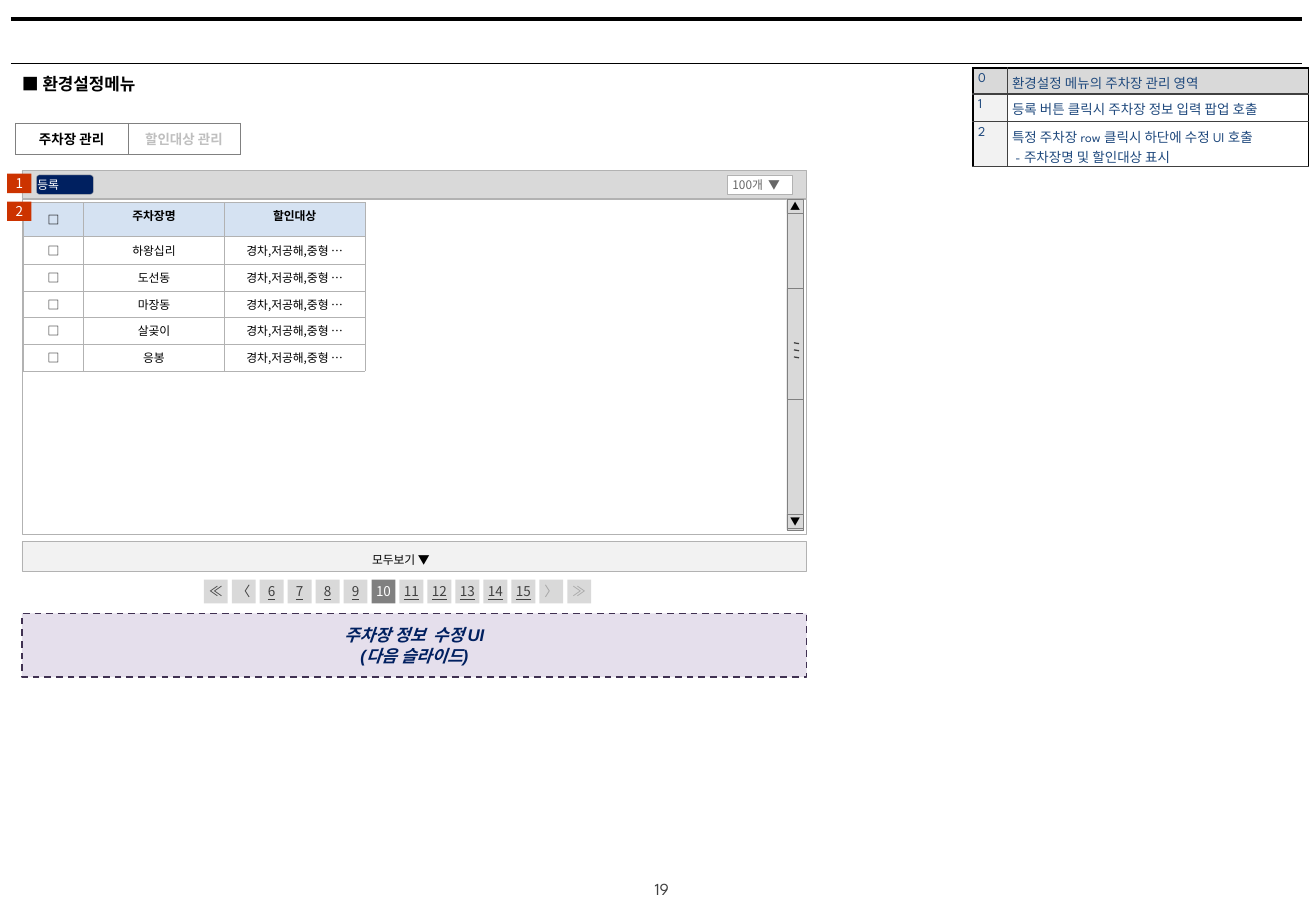
from dataclasses import dataclass, replace

from pptx import Presentation
from pptx.dml.color import RGBColor
from pptx.enum.dml import MSO_LINE_DASH_STYLE
from pptx.enum.shapes import MSO_CONNECTOR, MSO_SHAPE
from pptx.enum.text import MSO_ANCHOR, PP_ALIGN
from pptx.oxml.ns import qn
from pptx.util import Pt
from lxml import etree

RECT, ROUND = MSO_SHAPE.RECTANGLE, MSO_SHAPE.ROUNDED_RECTANGLE
STRAIGHT, DASH = MSO_CONNECTOR.STRAIGHT, MSO_LINE_DASH_STYLE.DASH
TOP, MID = MSO_ANCHOR.TOP, MSO_ANCHOR.MIDDLE
LEFT, MIDST = PP_ALIGN.LEFT, PP_ALIGN.CENTER
NOTO, SPARTAN, ARIAL = "Noto Sans CJK KR", "League Spartan", "Arial"
BLACK, WHITE, DARK, GREY, PALE = "000000", "FFFFFF", "404040", "D9D9D9", "F2F2F2"
EDGE, MUTED, NAVY, BLUE = "B2B2B2", "808080", "002060", "1F497D"
SIDES = ("lnL", "lnR", "lnT", "lnB")


@dataclass(frozen=True)
class Style:
    size: float = 7
    color: str = BLACK
    font: str = NOTO
    bold: bool = False
    italic: bool = False
    under: bool = False
    align: PP_ALIGN = MIDST
    anchor: MSO_ANCHOR = MID
    inset: tuple = (0, 0, 0, 0)
    wrap: bool = True


@dataclass(frozen=True)
class Box:
    left: float
    top: float
    width: float
    height: float
    fill: str = ""
    edge: str = ""
    text: str = ""
    style: Style = Style()
    kind: MSO_SHAPE = RECT


@dataclass(frozen=True)
class Cell:
    text: str
    style: Style
    fill: str
    lines: tuple  # (colour, width) for left, right, top, bottom


def paint(target, color: str) -> None:
    target.solid()
    target.fore_color.rgb = RGBColor.from_string(color)


def write(frame, text: str, style: Style) -> None:
    for i, line in enumerate(text.split("\n")):
        para = frame.paragraphs[0] if i == 0 else frame.add_paragraph()
        para.alignment = style.align
        run = para.add_run()
        run.text = line
        font = run.font
        font.size, font.name = Pt(style.size), style.font
        font.bold, font.italic, font.underline = style.bold, style.italic, style.under
        paint(font.fill, style.color)
        # Hangul takes its typeface from the East Asian slot
        east = etree.Element(qn("a:ea"), typeface=NOTO)
        font._element.find(qn("a:latin")).addnext(east)


def place(holder, style: Style) -> None:
    """Set the margins and anchor of a text frame or a cell."""
    left, top, right, bottom = style.inset
    holder.margin_left, holder.margin_top = Pt(left), Pt(top)
    holder.margin_right, holder.margin_bottom = Pt(right), Pt(bottom)
    holder.vertical_anchor = style.anchor


def fill_frame(frame, text: str, style: Style) -> None:
    place(frame, style)
    frame.word_wrap = style.wrap
    write(frame, text, style)


def draw_box(slide, box: Box):
    shape = slide.shapes.add_shape(
        box.kind, Pt(box.left), Pt(box.top), Pt(box.width), Pt(box.height))
    shape.shadow.inherit = False
    if box.fill:
        paint(shape.fill, box.fill)
    else:
        shape.fill.background()
    if box.edge:
        paint(shape.line.fill, box.edge)
        shape.line.width = Pt(0.25)
    else:
        shape.line.fill.background()
    if box.text:
        fill_frame(shape.text_frame, box.text, box.style)
    return shape


def draw_label(slide, box: Box) -> None:
    label = slide.shapes.add_textbox(
        Pt(box.left), Pt(box.top), Pt(box.width), Pt(box.height))
    fill_frame(label.text_frame, box.text, box.style)


def draw_line(slide, x1: float, y1: float, x2: float, y2: float,
              color: str, width: float) -> None:
    line = slide.shapes.add_connector(STRAIGHT, Pt(x1), Pt(y1), Pt(x2), Pt(y2))
    paint(line.line.fill, color)
    line.line.width = Pt(width)
    etree.SubElement(line._element.spPr, qn("a:effectLst"))


def draw_table(slide, left: float, top: float, cols: list[float],
               rows: list[float], grid: list[list[Cell]]) -> None:
    table = slide.shapes.add_table(len(rows), len(cols), Pt(left), Pt(top),
                                   Pt(sum(cols)), Pt(sum(rows))).table
    table.first_row = table.horz_banding = False
    for col, width in zip(table.columns, cols):
        col.width = Pt(width)
    for row, height, cells in zip(table.rows, rows, grid):
        row.height = Pt(height)
        for slot, cell in zip(row.cells, cells):
            place(slot, cell.style)
            write(slot.text_frame, cell.text, cell.style)
            props = slot._tc.get_or_add_tcPr()
            for side, (color, width) in zip(SIDES, cell.lines):
                line = etree.SubElement(props, qn(f"a:{side}"), w=str(Pt(width)))
                solid = etree.SubElement(line, qn("a:solidFill"))
                etree.SubElement(solid, qn("a:srgbClr"), val=color)
            paint(slot.fill, cell.fill)


def draw_notes(slide) -> None:
    style = Style(8, BLUE, SPARTAN, align=LEFT, anchor=TOP, inset=(3, 3, 3, 0))
    notes = ["환경설정 메뉴의 주차장 관리 영역",
             "등록 버튼 클릭시 주차장 정보 입력 팝업 호출",
             "특정 주차장 row 클릭시 하단에 수정 UI 호출\n - 주차장명 및 할인대상 표시"]
    thick, thin = (BLACK, 1), (DARK, 0.75)
    grid = []
    for i, note in enumerate(notes):
        roof = thin if i else thick
        grid.append([
            Cell(str(i), style, PALE if i else GREY, (thick, thin, roof, thin)),
            Cell(note, style, WHITE if i else GREY, (thin, thick, roof, thin))])
    draw_table(slide, 576.7, 40.3, [20.2, 178.6], [15.4, 16.6, 26.6], grid)


def draw_list(slide) -> None:
    lines = ((EDGE, 0.25),) * 4
    plain = Style(inset=(2.7,) * 4)
    head = replace(plain, bold=True)
    title = replace(head, anchor=TOP)
    sky = "D5E2F2"
    grid = [[Cell("□", head, sky, lines), Cell("주차장명", title, sky, lines),
             Cell("할인대상", title, sky, lines)]]
    for name in ("하왕십리", "도선동", "마장동", "살곶이", "응봉"):
        grid.append([Cell(text, plain, WHITE, lines)
                     for text in ("□", name, "경차,저공해,중형 …")])
    draw_table(slide, 13.8, 119.9, [35.8, 83.4, 83.4], [20.2, 16.6] + [15.8] * 4, grid)


def draw_tabs(slide) -> None:
    style = Style(8, bold=True, inset=(2.9,) * 4)
    lines = ((MUTED, 0.25),) * 4
    tabs = [Cell("주차장 관리", style, WHITE, lines),
            Cell("할인대상 관리", replace(style, color="BFBFBF"), WHITE, lines)]
    draw_table(slide, 9.2, 73, [66.6, 66.6], [18.6], [tabs])


def draw_scroll(slide) -> None:
    left, wide = 466.3, 10
    arrow = Style(6)
    for top, high, text in ((119.2, 195.1, ""), (171, 65.5, ""),
                            (118, 8.6, "▲"), (304.6, 8.6, "▼")):
        draw_box(slide, Box(left, top, wide, high, GREY, MUTED, text, arrow))
    for i in range(3):
        y = 203.2 + 4.2 * i
        draw_line(slide, 470.6, y, 473.6, y + 0.5, DARK, 0.75)


def draw_pages(slide) -> None:
    marks = ["≪", "〈", *map(str, range(6, 16)), "〉", "≫"]
    for i, mark in enumerate(marks):
        here = mark == "10"
        color = WHITE if here else "A6A6A6" if mark in "〉≫" else DARK
        style = Style(8, color, under=mark.isdigit() and not here, wrap=False)
        draw_box(slide, Box(120.8 + 16.57 * i, 343.5, 14.2, 14.2,
                            MUTED if here else GREY, text=mark, style=style))


def draw_edit(slide) -> None:
    style = Style(10, NAVY, ARIAL, bold=True, italic=True, inset=(7.2, 3.6, 7.2, 3.6))
    panel = draw_box(slide, Box(13, 363.6, 465.1, 37.8, "CCC1DA", "403152",
                                "주차장 정보  수정 UI\n(다음 슬라이드)", style))
    panel.line.width, panel.line.dash_style = Pt(1), DASH
    tint = panel._element.spPr.find(qn("a:solidFill"))[0]
    etree.SubElement(tint, qn("a:alpha"), val="50000")


def main() -> None:
    deck = Presentation()
    deck.slide_width, deck.slide_height = Pt(780), Pt(540)
    slide = deck.slides.add_slide(deck.slide_layouts[6])
    for y, width in ((11.3, 2.25), (37.5, 0.75)):
        draw_line(slide, 6.5, y, 772, y, BLACK, width)
    draw_label(slide, Box(380.9, 517, 27.4, 19.4, text="19", style=Style(
        10, DARK, SPARTAN, align=LEFT, inset=(7.2, 3.6, 7.2, 3.6), wrap=False)))
    draw_notes(slide)
    draw_label(slide, Box(13, 40, 283.7, 19.4, text="■ 환경설정메뉴", style=Style(
        10, bold=True, align=LEFT, anchor=TOP, inset=(0, 3.6, 7.2, 3.6))))
    draw_box(slide, Box(13, 118, 465.1, 198.7, edge=EDGE))
    draw_scroll(slide)
    draw_box(slide, Box(13, 321.1, 465.1, 17.3, PALE, EDGE))
    draw_box(slide, Box(13, 100.8, 465.1, 16.6, GREY, EDGE))
    draw_box(slide, Box(431.3, 103.7, 38.2, 11.5, WHITE, EDGE, "100개  ▼", Style(
        color="666666", align=LEFT, inset=(2.9, 0, 2.9, 0))))
    draw_label(slide, Box(162, 327.6, 151.2, 8.6, text="모두보기 ▼"))
    draw_list(slide)
    draw_box(slide, Box(21.6, 103.7, 33.8, 11.5, NAVY, EDGE, "등록",
                        Style(color=WHITE, align=LEFT), ROUND))
    draw_edit(slide)
    draw_pages(slide)
    for mark, top in (("1", 103), ("2", 119.5)):
        draw_box(slide, Box(4.3, top, 14.4, 11.5, "CC3300", text=mark,
                            style=Style(8, WHITE, wrap=False)))
    draw_tabs(slide)
    deck.save("out.pptx")


if __name__ == "__main__":
    main()
